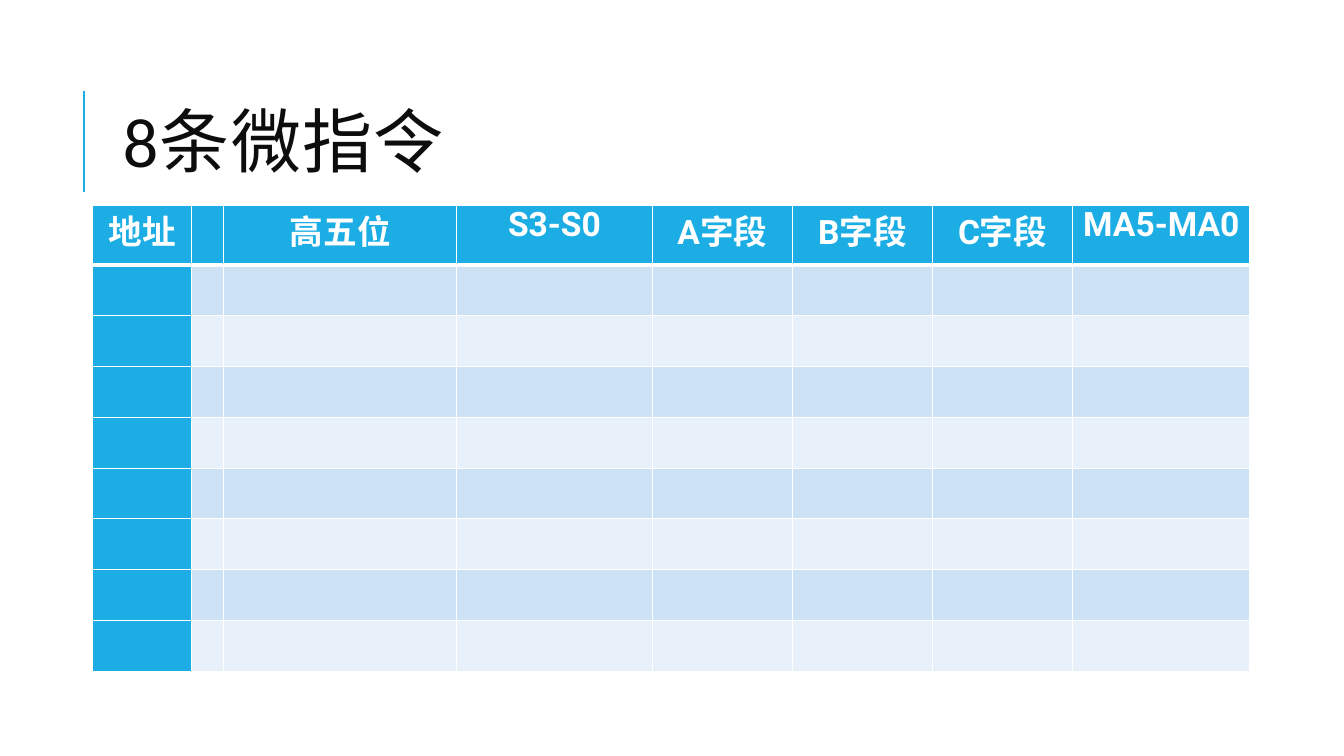
from lxml.etree import SubElement
from pptx import Presentation
from pptx.dml.color import RGBColor
from pptx.enum.shapes import MSO_CONNECTOR
from pptx.enum.text import MSO_ANCHOR, PP_ALIGN
from pptx.oxml.ns import qn
from pptx.util import Inches, Pt

ACCENT = RGBColor(0x1C, 0xAD, 0xE4)
BAND_DARK = RGBColor(0xCD, 0xE3, 0xF5)
BAND_LIGHT = RGBColor(0xE8, 0xF1, 0xFA)
WHITE = RGBColor(0xFF, 0xFF, 0xFF)
TITLE_INK = RGBColor(0x0D, 0x0D, 0x0D)

HEADERS = ["地址", "", "高五位", "S3-S0", "A字段", "B字段", "C字段", "MA5-MA0"]
COLUMN_WIDTHS = [0.98, 0.32, 2.31, 1.94, 1.39, 1.39, 1.39, 1.76]
INSTRUCTION_COUNT = 8
HEADER_HEIGHT = 0.59


def add_run(paragraph, text, font_name, size, color, bold=False):
    run = paragraph.add_run()
    run.text = text
    run.font.name = font_name
    run.font.size = Pt(size)
    run.font.bold = bold
    run.font.color.rgb = color
    return run


def add_title(slide, left, top, width, height):
    # Accent rule to the left of the title
    rule_x = Inches(left - 0.29)
    rule = slide.shapes.add_connector(
        MSO_CONNECTOR.STRAIGHT, rule_x, Inches(top + 1.26), rule_x, Inches(top + 0.26))
    rule.line.color.rgb = ACCENT
    rule.line.width = Pt(1.5)
    SubElement(rule._element.spPr, qn("a:effectLst"))

    # Title text
    box = slide.shapes.add_textbox(Inches(left), Inches(top), Inches(width), Inches(height))
    frame = box.text_frame
    frame.word_wrap = True
    frame.vertical_anchor = MSO_ANCHOR.MIDDLE
    paragraph = frame.paragraphs[0]
    paragraph.line_spacing = 0.8
    run = add_run(paragraph, "8条微指令", "Calibri", 50, TITLE_INK)
    run.font._element.set("spc", "100")


def set_borders(cell, top_width, bottom_width):
    properties = cell._tc.get_or_add_tcPr()
    widths = {"a:lnL": 1, "a:lnR": 1, "a:lnT": top_width, "a:lnB": bottom_width}
    for tag, width in widths.items():
        border = SubElement(properties, qn(tag), w=str(Pt(width)))
        fill = SubElement(border, qn("a:solidFill"))
        SubElement(fill, qn("a:srgbClr"), val=str(WHITE))


def fill_color(row, column):
    if row == 0 or column == 0:
        return ACCENT
    return BAND_DARK if row % 2 else BAND_LIGHT


def add_instruction_table(slide, left, top, width, height):
    table = slide.shapes.add_table(
        INSTRUCTION_COUNT + 1, len(HEADERS),
        Inches(left), Inches(top), Inches(width), Inches(height)).table
    table.first_col = True

    # Column widths and row heights
    for column, column_width in zip(table.columns, COLUMN_WIDTHS):
        column.width = Inches(column_width)
    body_height = (height - HEADER_HEIGHT) / INSTRUCTION_COUNT
    for index, row in enumerate(table.rows):
        row.height = Inches(body_height if index else HEADER_HEIGHT)

    # Fills and borders, with a thick line under the header
    for row_index, row in enumerate(table.rows):
        for column_index, cell in enumerate(row.cells):
            set_borders(cell, 3 if row_index == 1 else 1, 3 if row_index == 0 else 1)
            cell.fill.solid()
            cell.fill.fore_color.rgb = fill_color(row_index, column_index)

    # Header text
    for cell, header in zip(table.rows[0].cells, HEADERS):
        if header:
            cell.margin_left = cell.margin_right = Inches(0.07)
            cell.margin_top = cell.margin_bottom = 0
            paragraph = cell.text_frame.paragraphs[0]
            paragraph.alignment = PP_ALIGN.CENTER
            add_run(paragraph, header, "Roboto", 24, WHITE, bold=True)


def main():
    presentation = Presentation()
    presentation.slide_width = Inches(13.33)
    presentation.slide_height = Inches(7.5)
    slide = presentation.slides.add_slide(presentation.slide_layouts[6])
    add_title(slide, 1.12, 0.64, 10.63, 1.64)
    add_instruction_table(slide, 0.92, 2.04, sum(COLUMN_WIDTHS), 4.62)
    presentation.save("out.pptx")


if __name__ == "__main__":
    main()
